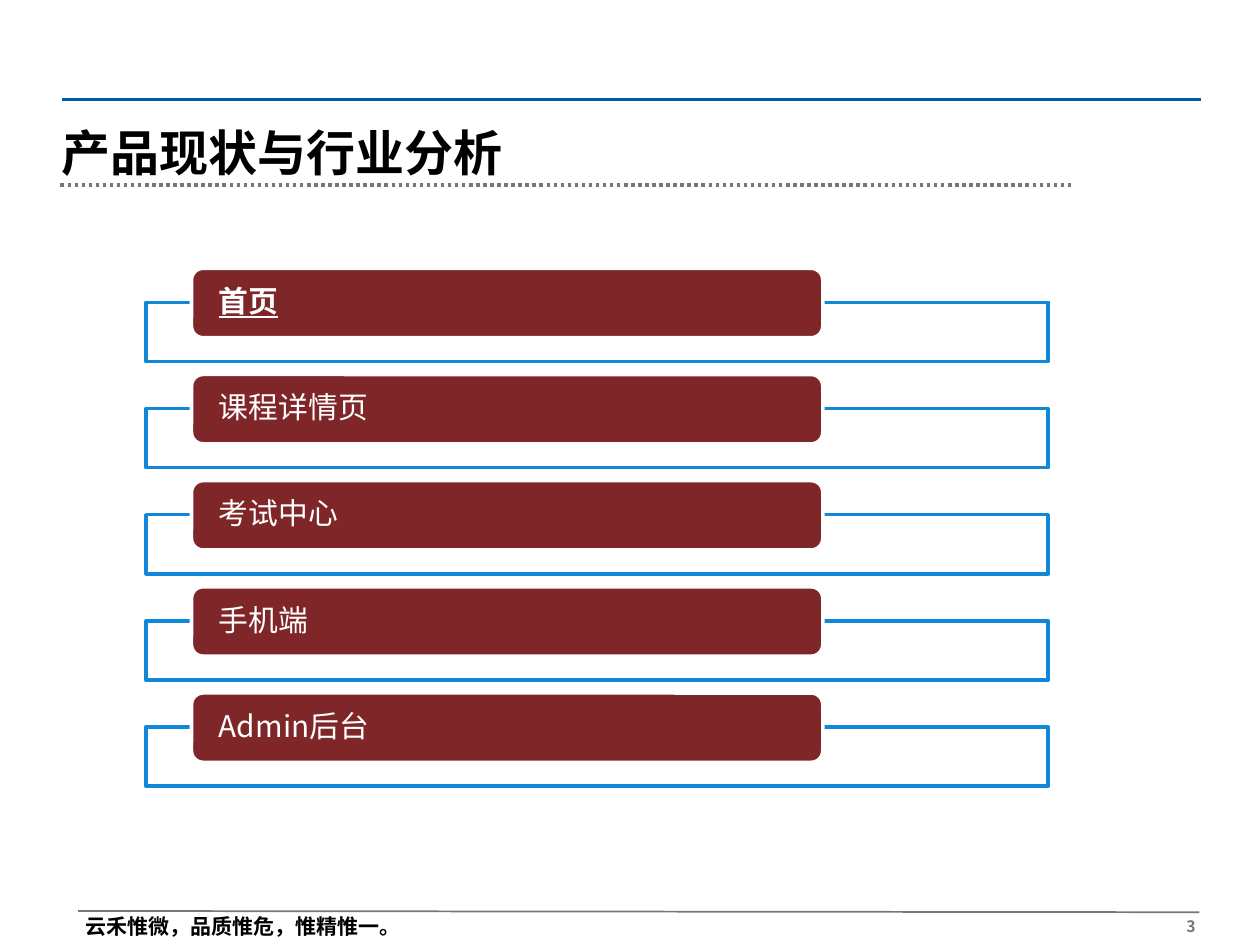
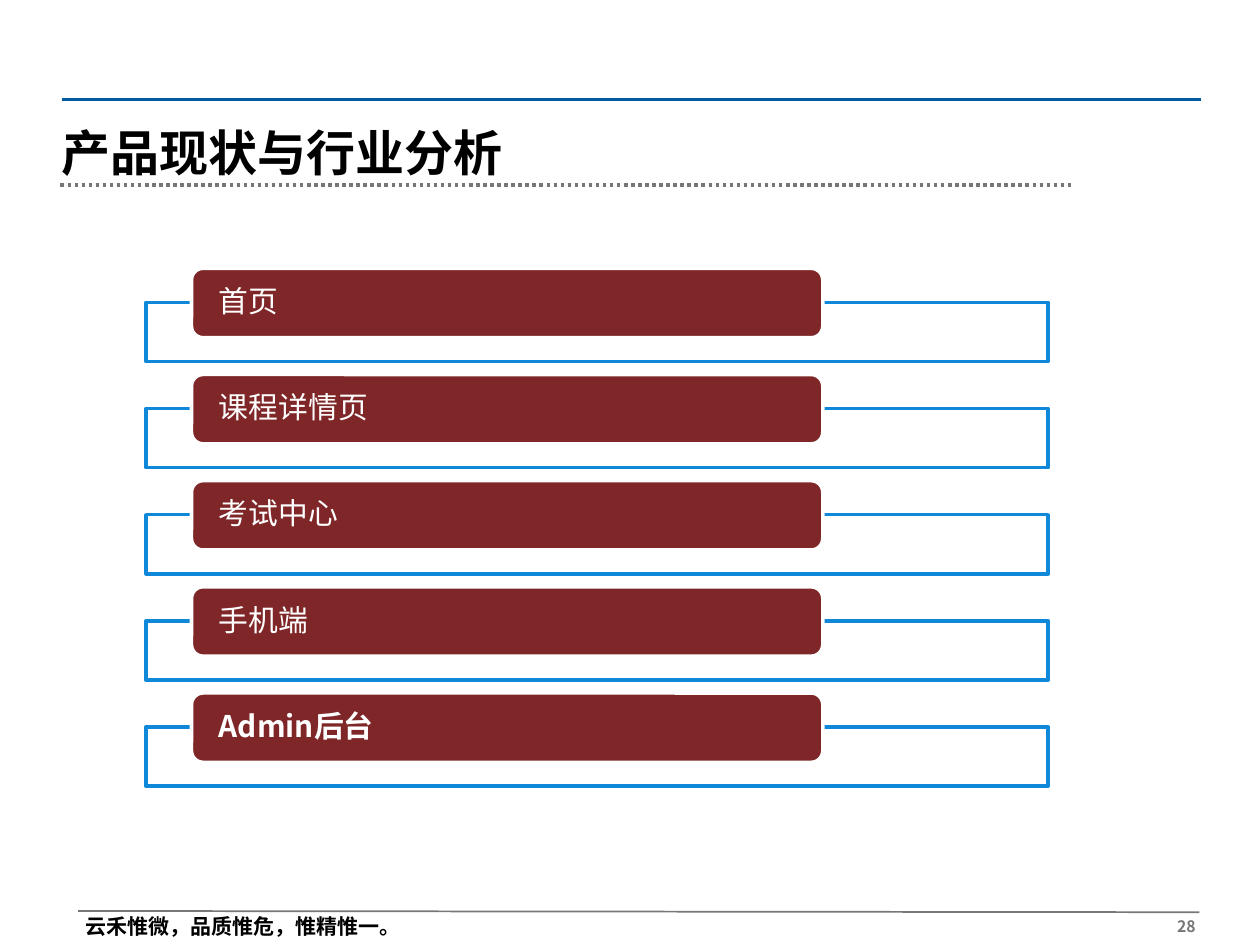
from lxml import etree
from pptx import Presentation
from pptx.dml.color import RGBColor
from pptx.enum import dml, shapes, text
from pptx.oxml.ns import qn
from pptx.util import Inches, Pt

TITLE = "产品现状与行业分析"
FOOTER = "云禾惟微，品质惟危，惟精惟一。"
TOPICS = ["首页", "课程详情页", "考试中心", "手机端", "Admin后台"]
AGENDAS = [
    {"page": "3", "current": "首页", "underline": True},
    {"page": "28", "current": "Admin后台", "underline": False},
]

FONT = "Noto Sans CJK SC"
BLACK, WHITE, GRAY = "000000", "FFFFFF", "777777"
RULE_BLUE, FRAME_BLUE, BAR_RED = "005BA0", "1088DA", "7F2728"

# start, end, colour, width in points, dash
RULES = [
    ((0.48, 1.47), (8.52, 1.47), GRAY, 2, dml.MSO_LINE.ROUND_DOT),
    ((0.49, 0.79), (9.53, 0.79), RULE_BLUE, 1.25, None),
    ((0.62, 7.23), (9.52, 7.24), GRAY, 1, None),
]
FIRST_BAR_TOP, LAST_BAR_TOP = 2.13, 5.5
ROW_STEP = (LAST_BAR_TOP - FIRST_BAR_TOP) / (len(TOPICS) - 1)
FRAME_DROP = 0.27


def rgb(value):
    return RGBColor.from_string(value)


def inches(*lengths):
    return [Inches(length) for length in lengths]


def write(shape, content, size, color, bold=False, underline=None,
          align=text.PP_ALIGN.LEFT, anchor=text.MSO_ANCHOR.TOP,
          insets=(0.1, 0.05, 0.1, 0.05)):
    """Put one styled paragraph in a shape; insets run left, top, right, bottom."""
    frame = shape.text_frame
    frame.word_wrap = True
    frame.auto_size = text.MSO_AUTO_SIZE.NONE
    frame.vertical_anchor = anchor
    (frame.margin_left, frame.margin_top,
     frame.margin_right, frame.margin_bottom) = inches(*insets)
    frame.text = content
    paragraph = frame.paragraphs[0]
    paragraph.alignment = align
    font = paragraph.font
    font.size, font.bold, font.underline = Pt(size), bold, underline
    font.color.rgb = rgb(color)
    font.name = FONT
    properties = paragraph._p.pPr.find(qn("a:defRPr"))
    etree.SubElement(properties, qn("a:ea"), typeface=FONT)
    return paragraph


def add_rule(slide, start, end, color, width, dash):
    rule = slide.shapes.add_connector(
        shapes.MSO_CONNECTOR.STRAIGHT, *inches(*start, *end))
    rule.line.color.rgb = rgb(color)
    rule.line.width = Pt(width)
    if dash:
        rule.line.dash_style = dash
    etree.SubElement(rule._element.spPr, qn("a:effectLst"))


def add_box(slide, kind, place, fill, line):
    box = slide.shapes.add_shape(kind, *inches(*place))
    box.shadow.inherit = False
    box.fill.solid()
    box.fill.fore_color.rgb = rgb(fill)
    box.line.color.rgb = rgb(line)
    box.line.width = Pt(2)
    return box


def add_topic(slide, row, topic, is_current, underline):
    top = FIRST_BAR_TOP + row * ROW_STEP
    frame = add_box(slide, shapes.MSO_SHAPE.RECTANGLE,
                    (1.16, top + FRAME_DROP, 7.16, 0.47), WHITE, FRAME_BLUE)
    fill_color = frame._element.spPr.find(qn("a:solidFill"))[0]
    etree.SubElement(fill_color, qn("a:alpha"), val="90000")
    bar = add_box(slide, shapes.MSO_SHAPE.ROUNDED_RECTANGLE,
                  (1.52, top, 5.01, 0.55), BAR_RED, WHITE)
    paragraph = write(bar, topic, 17, WHITE, bold=is_current,
                      underline=True if is_current and underline else None,
                      anchor=text.MSO_ANCHOR.MIDDLE, insets=(0.19, 0, 0.19, 0))
    paragraph.line_spacing = 0.9


def add_page_frame(slide, page):
    """Draw the title, rules, motto and page number."""
    for rule in RULES:
        add_rule(slide, *rule)
    motto = slide.shapes.add_textbox(*inches(0.58, 7.2, 4.43, 0.3))
    write(motto, FOOTER, 12, BLACK, bold=True)
    title = slide.shapes.title
    title.left, title.top, title.width, title.height = inches(0.39, 0.93, 8.1, 0.56)
    write(title, TITLE, 28, BLACK, bold=True, anchor=text.MSO_ANCHOR.BOTTOM)
    number = slide.shapes.add_textbox(*inches(7.54, 7.23, 2.08, 0.24))
    write(number, page, 9, GRAY, bold=True, align=text.PP_ALIGN.RIGHT,
          insets=(0.1, 0.05, 0.13, 0.05))


def main():
    presentation = Presentation()
    presentation.slide_width, presentation.slide_height = inches(10, 7.5)
    title_only = presentation.slide_layouts[5]
    for agenda in AGENDAS:
        slide = presentation.slides.add_slide(title_only)
        add_page_frame(slide, agenda["page"])
        for row, topic in enumerate(TOPICS):
            add_topic(slide, row, topic, topic == agenda["current"],
                      agenda["underline"])
    presentation.save("out.pptx")


if __name__ == "__main__":
    main()
